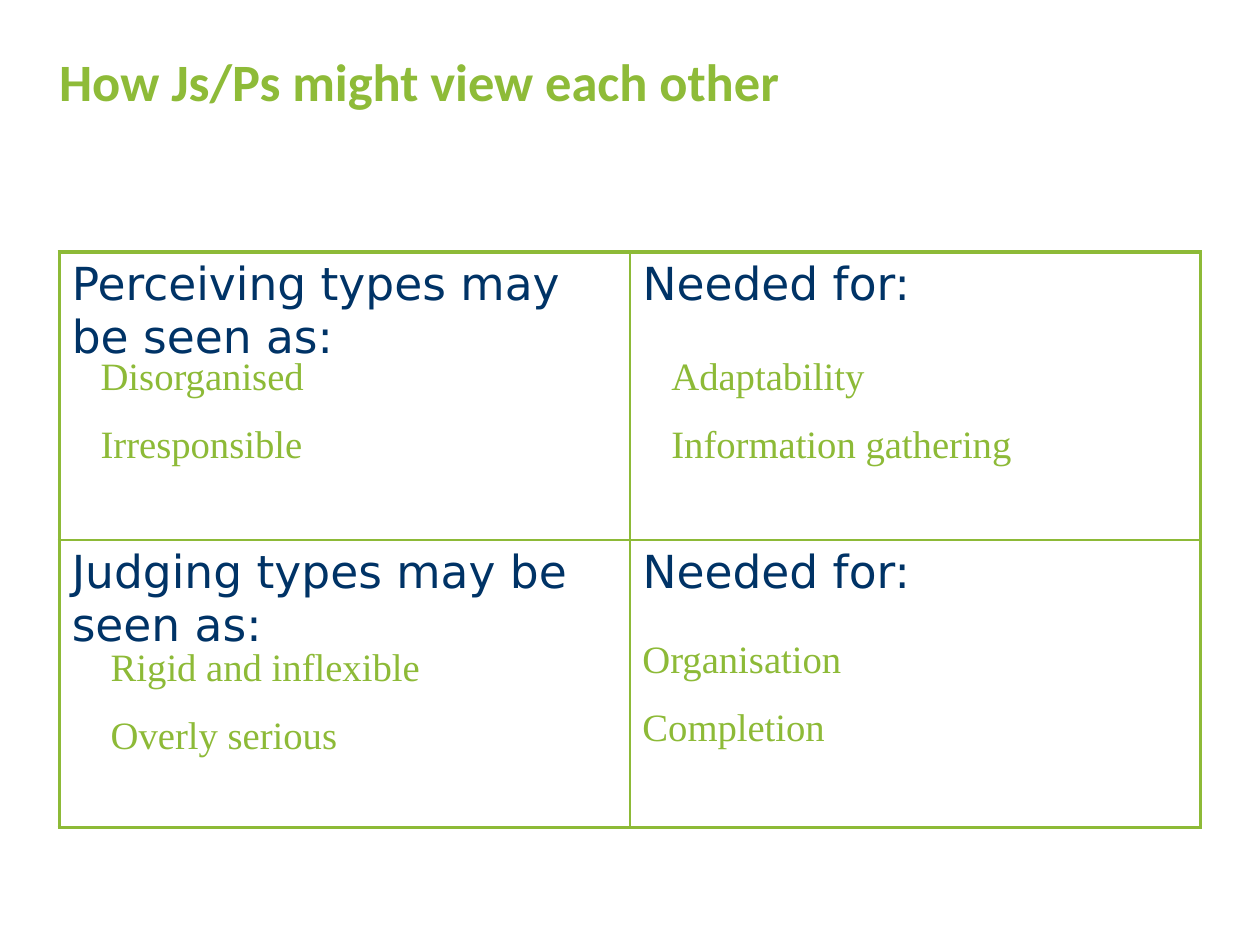
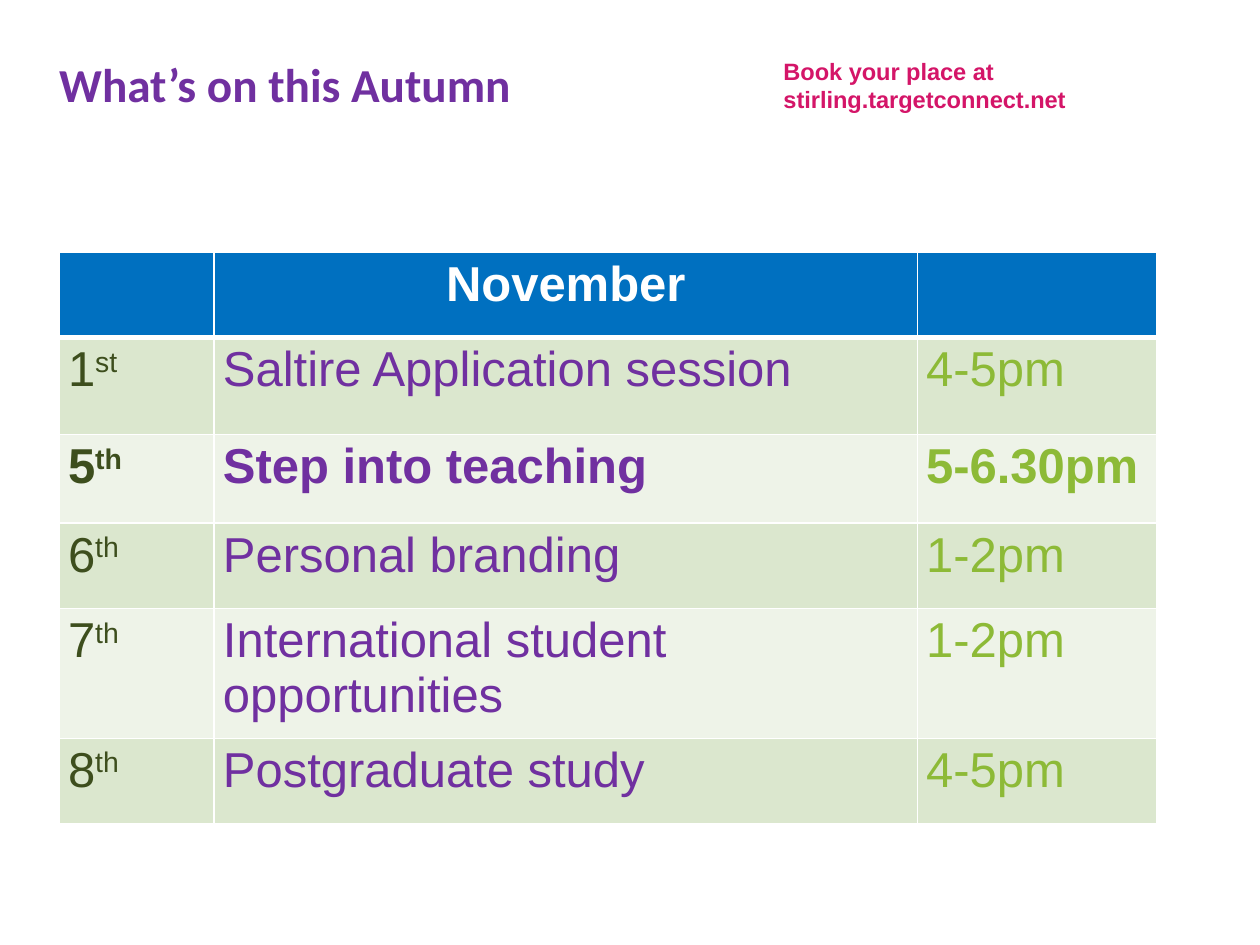
from lxml.etree import SubElement
from pptx import Presentation
from pptx.dml.color import RGBColor
from pptx.enum.text import PP_ALIGN
from pptx.oxml.ns import qn
from pptx.util import Inches, Pt

COLORS = {
    "title_green": "8EBB38", "green": "8DBA37", "navy": "003366",
    "purple": "7030A0", "pink": "D41568", "blue": "0070C0",
    "dark_green": "3D4E1D", "white": "FFFFFF",
    "band_dark": "DBE7CE", "band_light": "EEF3E8",
}
TITLE_BOX = (0.47, 0.47, 9.06, 1.46)


def rgb(color):
    return RGBColor.from_string(COLORS[color])


def style(font, size, face, color, bold=False):
    font.size, font.name, font.bold = Pt(size), face, bold
    font.color.rgb = rgb(color)


def add_text(slide, box, lines, size, face, color, bold=False, gap=0, inset=True):
    frame = slide.shapes.add_textbox(*map(Inches, box)).text_frame
    frame.word_wrap = True
    if not inset:
        frame.margin_left = frame.margin_right = 0
        frame.margin_top = frame.margin_bottom = 0
    frame.text = "\n".join(lines)
    for index, paragraph in enumerate(frame.paragraphs):
        style(paragraph.font, size, face, color, bold)
        if index and gap:
            paragraph.space_before = Pt(gap)
    return frame


def add_title(slide, title, size, color):
    frame = add_text(slide, TITLE_BOX, [title], size, "Calibri", color, True, inset=False)
    frame.paragraphs[0].line_spacing = Pt(30)


def add_plain_table(slide, box, widths, heights):
    table = slide.shapes.add_table(
        len(heights), len(widths), *map(Inches, box)).table
    table.first_row = table.horz_banding = False
    for column, width in zip(table.columns, widths):
        column.width = Inches(width)
    for row, height in zip(table.rows, heights):
        row.height = Inches(height)
    return table


def set_borders(cell, color, left=1, right=1, top=1, bottom=1):
    """Must run before the cell fill is set, to keep the XML order valid."""
    properties = cell._tc.get_or_add_tcPr()
    for side, width in zip("LRTB", (left, right, top, bottom)):
        line = SubElement(properties, qn(f"a:ln{side}"), w=str(Pt(width)))
        fill = SubElement(line, qn("a:solidFill"))
        SubElement(fill, qn("a:srgbClr"), val=COLORS[color])


# Slide 1: two-by-two comparison
def add_views_grid(slide, box):
    left, top, width, height = box
    headings = [["Perceiving types may be seen as:", "Needed for:"],
                ["Judging types may be seen as:", "Needed for:"]]
    # Offset from the grid corner, width, lines
    traits = [
        (0.23, 0.74, 4.02, ["Disorganised", "Irresponsible"]),
        (4.76, 0.74, 4.02, ["Adaptability", "Information gathering"]),
        (0.31, 3.05, 4.02, ["Rigid and inflexible", "Overly serious"]),
        (4.53, 2.99, 4.41, ["Organisation", "Completion"]),
    ]
    grid = add_plain_table(slide, box, [width / 2] * 2, [height / 2] * 2)
    for row, row_headings in enumerate(headings):
        for column, heading in enumerate(row_headings):
            cell = grid.cell(row, column)
            outer_x, outer_y = (2.25, 1), (2.25, 1)
            set_borders(cell, "green",
                        left=outer_x[column], right=outer_x[1 - column],
                        top=outer_y[row], bottom=outer_y[1 - row])
            cell.fill.background()
            cell.text_frame.text = heading
            style(cell.text_frame.paragraphs[0].runs[0].font, 26, "DejaVu Sans", "navy")
    for dx, dy, trait_width, lines in traits:
        add_text(slide, (left + dx, top + dy, trait_width, 1.03), lines,
                 22.1, "Times New Roman", "green", gap=12.5)


# Slide 2: booking note and events calendar
def add_booking_note(slide, box):
    add_text(slide, box, ["Book your place at stirling.targetconnect.net"],
             13.5, "Arial", "pink", True)


def fill_event_cell(cell, parts, color, bold):
    cell.margin_left = cell.margin_right = Inches(0.07)
    cell.margin_top = cell.margin_bottom = Inches(0.04)
    paragraph = cell.text_frame.paragraphs[0]
    for index, part in enumerate(parts):
        run = paragraph.add_run()
        run.text = part
        style(run.font, 28, "Arial", color, bold)
        if index:  # ordinal suffix
            run._r.get_or_add_rPr().set("baseline", "30000")


def add_events_calendar(slide, box):
    events = [
        (("1", "st"), "Saltire Application session", "4-5pm"),
        (("5", "th"), "Step into teaching", "5-6.30pm"),
        (("6", "th"), "Personal branding", "1-2pm"),
        (("7", "th"), "International student opportunities", "1-2pm"),
        (("8", "th"), "Postgraduate study", "4-5pm"),
    ]
    highlighted = "Step into teaching"
    calendar = add_plain_table(slide, box, [1.23, 5.58, 1.9],
                               [0.68, 0.77, 0.7, 0.68, 1.03, 0.68])
    # Header row
    for column in range(3):
        cell = calendar.cell(0, column)
        set_borders(cell, "white", bottom=3)
        cell.fill.solid()
        cell.fill.fore_color.rgb = rgb("blue")
    month = calendar.cell(0, 1)
    fill_event_cell(month, ["November"], "white", True)
    month.text_frame.paragraphs[0].alignment = PP_ALIGN.CENTER
    # Event rows
    for row, (day, event, hours) in enumerate(events, start=1):
        band = "band_dark" if row % 2 else "band_light"
        columns = zip((day, [event], [hours]), ("dark_green", "purple", "green"))
        for column, (parts, color) in enumerate(columns):
            cell = calendar.cell(row, column)
            set_borders(cell, "white", top=3 if row == 1 else 1)
            cell.fill.solid()
            cell.fill.fore_color.rgb = rgb(band)
            fill_event_cell(cell, parts, color, event == highlighted)


def main():
    deck = Presentation()
    deck.slide_width, deck.slide_height = Inches(10), Inches(7.5)
    blank = deck.slide_layouts[6]

    views = deck.slides.add_slide(blank)
    add_title(views, "How Js/Ps might view each other", 30, "title_green")
    add_views_grid(views, (0.47, 2, 9.06, 4.57))

    autumn = deck.slides.add_slide(blank)
    add_title(autumn, "What’s on this Autumn", 27, "purple")
    add_booking_note(autumn, (6.12, 0.4, 3.6, 0.56))
    add_events_calendar(autumn, (0.47, 2, 8.71, 4.54))

    deck.save("out.pptx")


if __name__ == "__main__":
    main()
